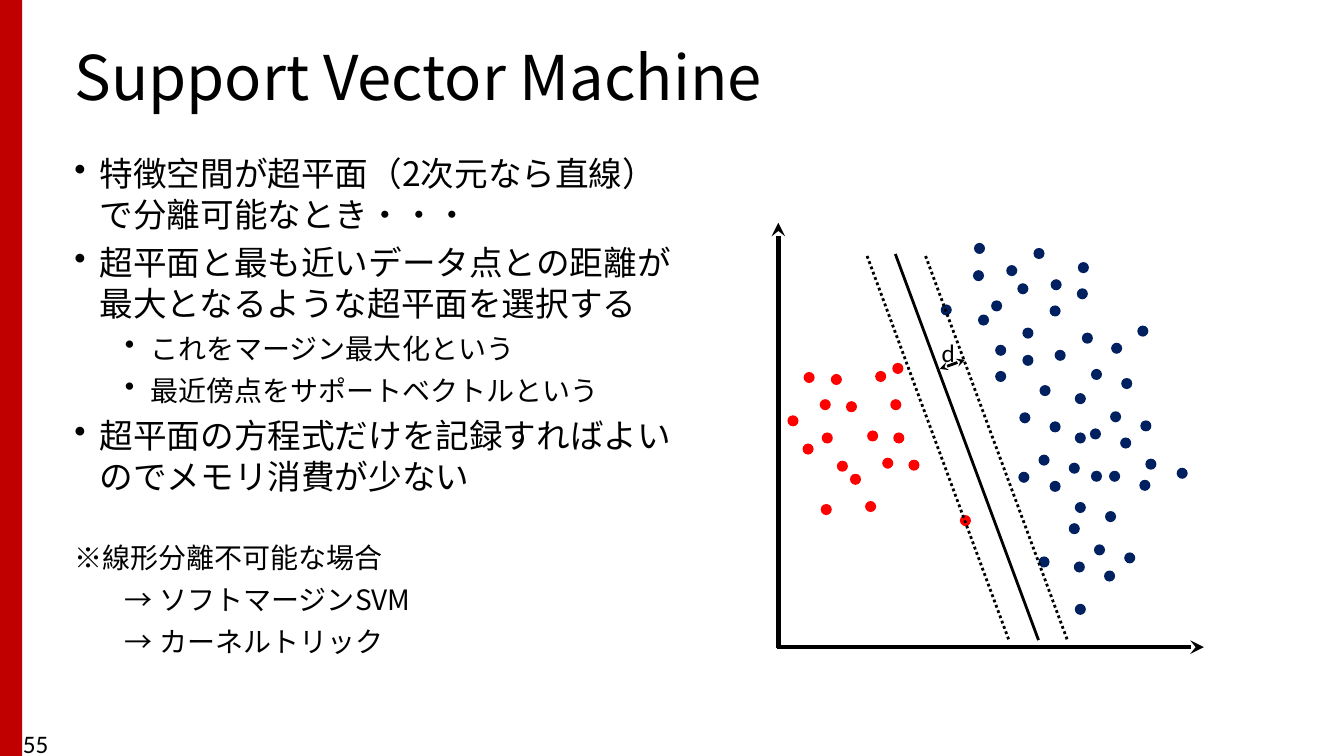
from lxml import etree
from pptx import Presentation
from pptx.dml.color import RGBColor
from pptx.enum.dml import MSO_LINE
from pptx.enum.shapes import MSO_CONNECTOR, MSO_SHAPE
from pptx.enum.text import MSO_ANCHOR
from pptx.oxml.ns import qn
from pptx.util import Pt

STRAIGHT = MSO_CONNECTOR.STRAIGHT
RECTANGLE, OVAL = MSO_SHAPE.RECTANGLE, MSO_SHAPE.OVAL
DOTTED = MSO_LINE.ROUND_DOT
TOP, MIDDLE = MSO_ANCHOR.TOP, MSO_ANCHOR.MIDDLE
EMU_PER_PX = 9144
COLORS = {"accent": "C00000", "ink": "000000", "red": "FF0000", "navy": "002060"}
SANS, LATIN = "Noto Sans CJK JP", "Calibri"
DOT_SIZE = 11

STYLES = {
    "point": {"size": 24, "left": 25, "hanging": 25, "bullet": "•", "level": 0, "before": 6},
    "detail": {"size": 20, "left": 75, "hanging": 25, "bullet": "•", "level": 1, "before": 6},
    "note": {"size": 20, "left": 0, "hanging": 0, "bullet": None, "level": 0, "before": 32},
    "remedy": {"size": 20, "left": 50, "hanging": 0, "bullet": None, "level": 1, "before": 6},
    "title": {"size": 44, "spacing": 0.9},
    "label": {"size": 18, "font": LATIN},
}
BODY = [
    ("point", "特徴空間が超平面（2次元なら直線）で分離可能なとき・・・"),
    ("point", "超平面と最も近いデータ点との距離が最大となるような超平面を選択する"),
    ("detail", "これをマージン最大化という"),
    ("detail", "最近傍点をサポートベクトルという"),
    ("point", "超平面の方程式だけを記録すればよいのでメモリ消費が少ない"),
    ("note", "※線形分離不可能な場合"),
    ("remedy", "→ ソフトマージンSVM"),
    ("remedy", "→ カーネルトリック"),
]
CLASSES = {
    "red": [
        (815, 429), (830, 457), (814, 500), (797, 369), (813, 396), (781, 412), (796, 440),
        (824, 371), (839, 398), (860, 427), (875, 454), (885, 360), (952, 511), (843, 470),
        (858, 497), (886, 429), (901, 456), (868, 368), (883, 396),
    ],
    "navy": [
        (1060, 459), (1030, 451), (1060, 519), (1041, 418), (1011, 409), (1041, 477),
        (1010, 468), (1115, 548), (1085, 540), (1096, 507), (1066, 498), (1095, 566),
        (1065, 557), (1030, 552), (1066, 599), (933, 302), (966, 241), (1009, 281),
        (983, 298), (965, 268), (1069, 260), (1042, 277), (1025, 246), (998, 263),
        (1068, 286), (1041, 303), (1014, 325), (987, 342), (1066, 429), (1031, 382),
        (970, 312), (1014, 352), (987, 368), (1073, 330), (1046, 347), (1131, 417),
        (1101, 408), (1130, 476), (1100, 467), (1112, 375), (1082, 366), (1111, 434),
        (1081, 425), (1167, 464), (1136, 455), (1082, 467), (1128, 323), (1102, 340),
        (1066, 390),
    ],
}
AXES = [
    ((771, 642), (1194, 642), {"width": 3.25, "tail": True}),
    ((772, 643), (772, 221), {"width": 3.25, "tail": True}),
]
MARGIN = [
    ((932, 366), (957, 357), {"width": 2, "head": True, "tail": True}),
    ((860, 254), (1001, 636), {"width": 2, "dash": DOTTED}),
    ((918, 254), (1059, 636), {"width": 2, "dash": DOTTED}),
    ((888, 252), (1030, 635), {"width": 2}),
]


def px(*lengths):
    """Turn px lengths into a list of EMU lengths."""
    return [length * EMU_PER_PX for length in lengths]


def color(name):
    """Return a named colour of the palette."""
    return RGBColor.from_string(COLORS[name])


def add_filled(shapes, kind, box, fill):
    """Add a preset shape with a plain fill and no outline."""
    shape = shapes.add_shape(kind, *px(*box))
    shape.shadow.inherit = False
    shape.fill.solid()
    shape.fill.fore_color.rgb = color(fill)
    shape.line.fill.background()


def add_lines(shapes, segments):
    """Add a group of straight lines with optional dashes and arrowheads."""
    group = shapes.add_group_shape()
    for start, end, style in segments:
        segment = group.shapes.add_connector(STRAIGHT, *px(*start, *end))
        segment.line.color.rgb = color("ink")
        segment.line.width = Pt(style["width"])
        if "dash" in style:
            segment.line.dash_style = style["dash"]
        properties = segment._element.spPr
        outline = properties.find(qn("a:ln"))
        for side in ("head", "tail"):
            if style.get(side):
                etree.SubElement(outline, qn(f"a:{side}End"), type="stealth")
        etree.SubElement(properties, qn("a:effectLst"))
    return group


def format_paragraph(paragraph, style, first):
    """Apply indents, bullet, spacing and font to a paragraph."""
    properties = paragraph._p.get_or_add_pPr()
    if "left" in style:
        left, hanging = px(style["left"], style["hanging"])
        properties.set("marL", str(left))
        properties.set("indent", str(-hanging))
    if style.get("bullet"):
        etree.SubElement(properties, qn("a:buChar"), char=style["bullet"])
    layout = {
        "level": style.get("level", 0),
        "space_before": Pt(0 if first else style.get("before", 0)),
        "line_spacing": style.get("spacing"),
    }
    for name, value in layout.items():
        setattr(paragraph, name, value)
    typeface = style.get("font", SANS)
    for run in paragraph.runs:
        for name, value in {"name": typeface, "size": Pt(style["size"])}.items():
            setattr(run.font, name, value)
        run.font.color.rgb = color("ink")
        etree.SubElement(run._r.get_or_add_rPr(), qn("a:ea"), typeface=typeface)


def add_text(shapes, box, lines, wrap=True, anchor=TOP):
    """Add a text box of styled paragraphs."""
    frame = shapes.add_textbox(*px(*box)).text_frame
    for name, value in {"word_wrap": wrap, "vertical_anchor": anchor}.items():
        setattr(frame, name, value)
    for index, (style_name, text) in enumerate(lines):
        paragraph = frame.add_paragraph() if index else frame.paragraphs[0]
        paragraph.add_run().text = text
        format_paragraph(paragraph, STYLES[style_name], index == 0)


def main():
    """Build the Support Vector Machine slide."""
    deck = Presentation()
    deck.slide_width, deck.slide_height = px(1333, 750)
    shapes = deck.slides.add_slide(deck.slide_layouts[6]).shapes
    add_filled(shapes, RECTANGLE, (0, 0, 22, 750), "accent")
    add_text(shapes, (64, 40, 1176, 80), [("title", "Support Vector Machine")], anchor=MIDDLE)
    add_text(shapes, (64, 147, 629, 603), BODY)
    add_lines(shapes, AXES)
    for fill, dots in CLASSES.items():
        for left, top in dots:
            add_filled(shapes, OVAL, (left, top, DOT_SIZE, DOT_SIZE), fill)
    margin = add_lines(shapes, MARGIN)
    add_text(margin.shapes, (924, 330, 34, 40), [("label", "d")], wrap=False)
    add_text(shapes, (13, 718, 300, 32), [("label", "55")])
    deck.save("out.pptx")


if __name__ == "__main__":
    main()
